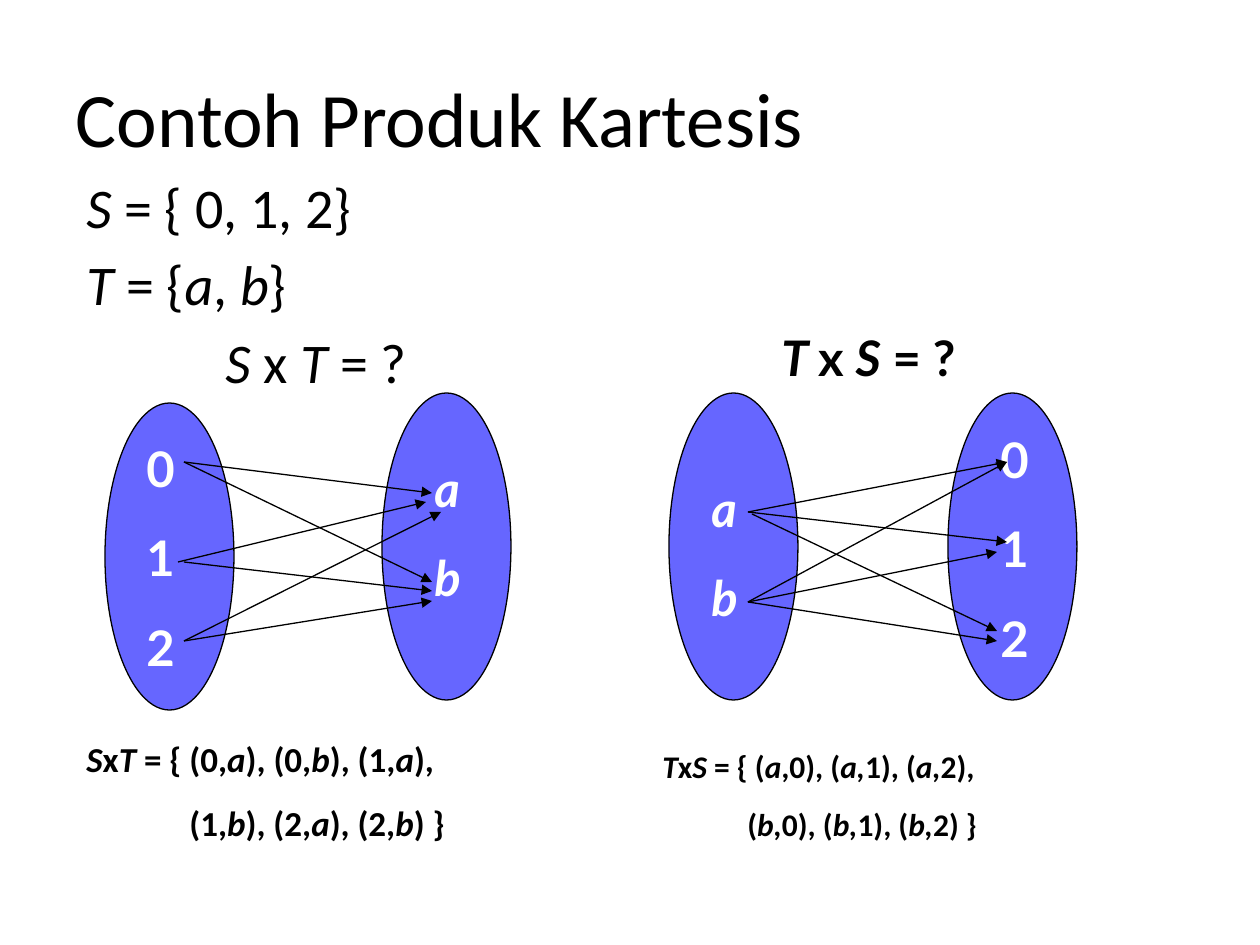
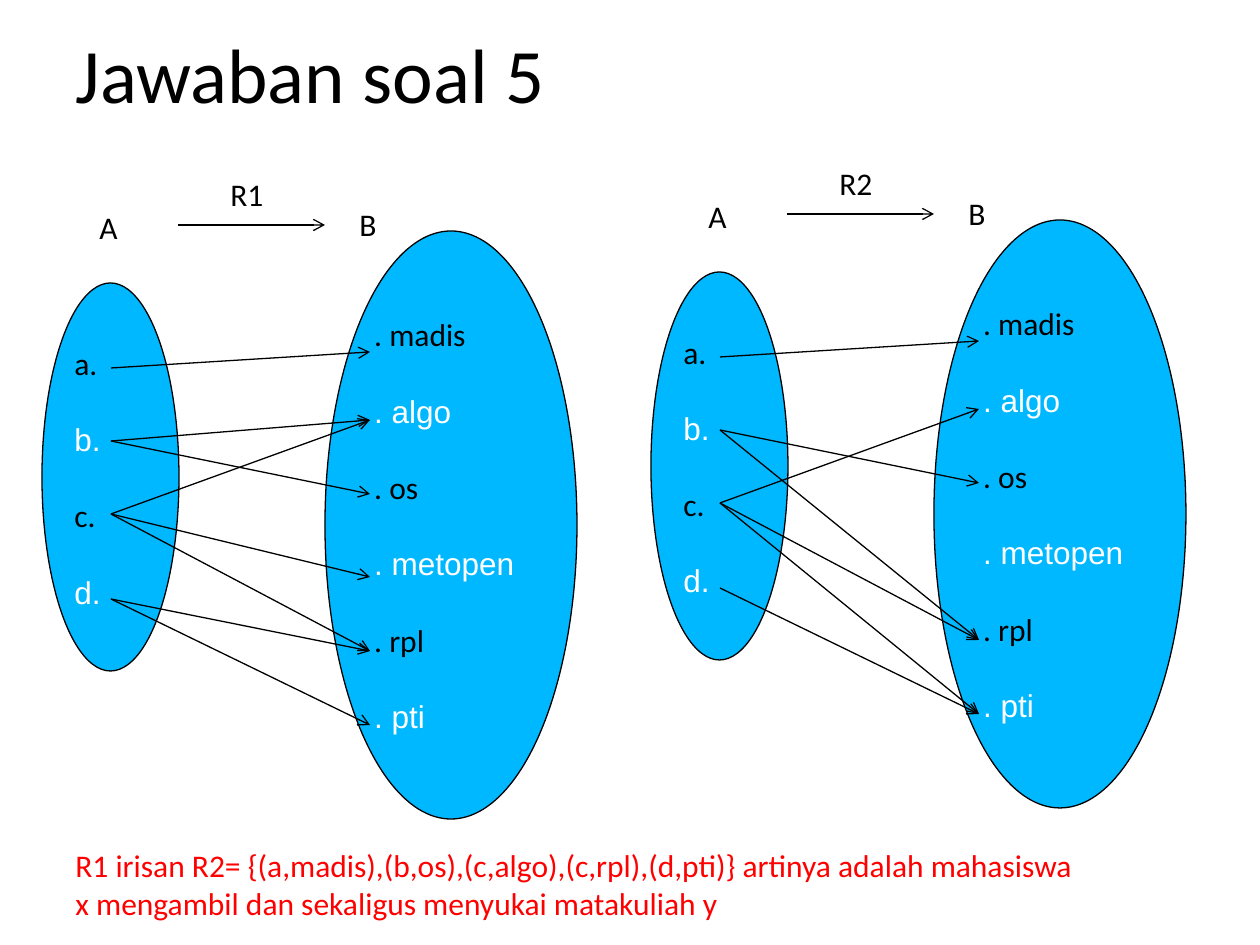
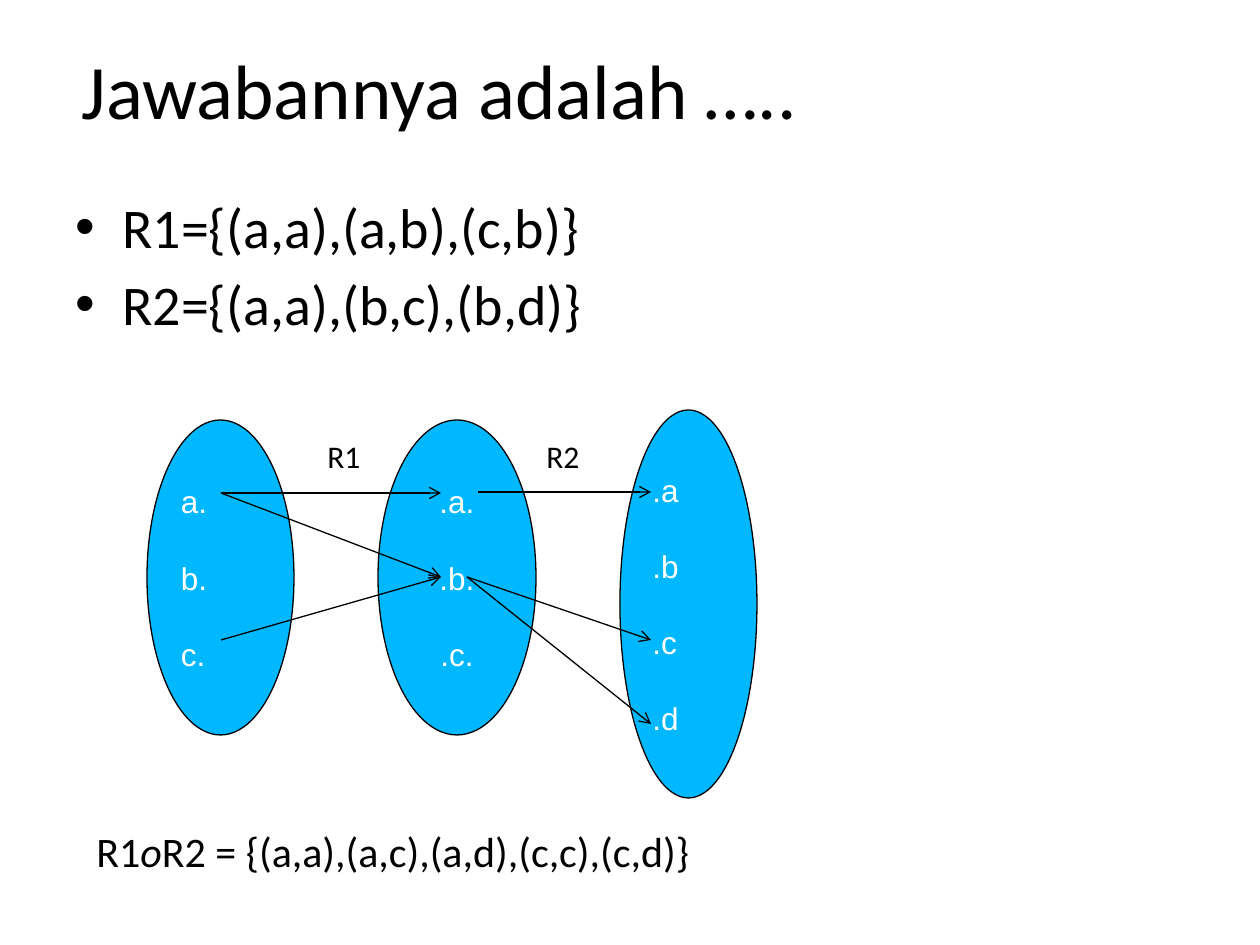
from itertools import cycle

from lxml import etree
from pptx import Presentation
from pptx.dml.color import RGBColor
from pptx.enum.shapes import MSO_CONNECTOR, MSO_SHAPE
from pptx.enum.text import MSO_ANCHOR, PP_ALIGN
from pptx.oxml.ns import qn
from pptx.util import Emu, Pt

BLACK = RGBColor(0x00, 0x00, 0x00)
WHITE = RGBColor(0xFF, 0xFF, 0xFF)
RED = RGBColor(0xFF, 0x00, 0x00)
VIOLET = RGBColor(0x66, 0x66, 0xFF)
SKY = RGBColor(0x00, 0xB8, 0xFF)

OVAL, RECT = MSO_SHAPE.OVAL, MSO_SHAPE.RECTANGLE
STRAIGHT = MSO_CONNECTOR.STRAIGHT
LEFT, CENTER = PP_ALIGN.LEFT, PP_ALIGN.CENTER
TOP, MIDDLE = MSO_ANCHOR.TOP, MSO_ANCHOR.MIDDLE

BODY = ("Calibri", BLACK)
BOLD = ("Lato", BLACK)
LABEL = ("Lato", WHITE)
ITEM = ("Arial", WHITE)
THIN = Pt(0.75)
TITLE_ONLY = 5


def px(n):
    return Emu(round(n * 914400 / 126))


def write(shape, lines, looks=(BODY,), size=18, bold=False, align=LEFT,
          anchor=TOP, before=0, pads=(0,), bullet=None, wrap=True):
    """Fill a shape with paragraphs; asterisks switch italics on and off."""
    frame = shape.text_frame
    frame.word_wrap = wrap
    frame.vertical_anchor = anchor
    for n, (line, look, pad) in enumerate(zip(lines, cycle(looks), cycle(pads))):
        para = frame.add_paragraph() if n else frame.paragraphs[0]
        para.alignment = align
        para.space_before = Pt(before)
        props = para._p.get_or_add_pPr()
        props.set("marL", str(px(pad)))
        if bullet:
            props.set("indent", str(px(-pad)))
            etree.SubElement(props, qn("a:buFont")).set("typeface", "Arial")
            etree.SubElement(props, qn("a:buChar")).set("char", bullet)
        for k, part in enumerate(line.split("*")):
            if part:
                run = para.add_run()
                run.text = part
                font = run.font
                font.name, font.color.rgb = look
                font.size = Pt(size)
                font.bold = bold
                font.italic = k % 2 == 1


def note(slide, box, lines, **style):
    write(slide.shapes.add_textbox(*map(px, box)), lines, **style)


def solid(slide, kind, box, fill, lined=True):
    shape = slide.shapes.add_shape(kind, *map(px, box))
    shape.shadow.inherit = False
    shape.fill.solid()
    shape.fill.fore_color.rgb = fill
    if lined:
        shape.line.color.rgb = BLACK
        shape.line.width = THIN
    else:
        shape.line.fill.background()
    return shape


def arrow(slide, x, y, ends, head="arrow"):
    """Draw an arrow whose ends are relative to (x, y)."""
    x1, y1, x2, y2 = ends
    link = slide.shapes.add_connector(
        STRAIGHT, px(x + x1), px(y + y1), px(x + x2), px(y + y2))
    link.line.color.rgb = BLACK
    link.line.width = THIN
    tip = etree.SubElement(link.line._get_or_add_ln(), qn("a:tailEnd"))
    tip.set("type", head)
    etree.SubElement(link._element.spPr, qn("a:effectLst"))


def start(deck, title, box):
    slide = deck.slides.add_slide(deck.slide_layouts[TITLE_ONLY])
    head = slide.shapes.title
    head.left, head.top, head.width, head.height = map(px, box)
    write(head, [title], size=44, anchor=MIDDLE)
    return slide


def product(slide, x, y, pools, links):
    """Two ovals with labels, joined by arrows."""
    for left, top, dx, dy, items in pools:
        left, top = x + left, y + top
        solid(slide, OVAL, (left, top, 129, 307), VIOLET)
        area = (left + dx, top + dy, 59, 90 * len(items) - 19)
        write(solid(slide, RECT, area, VIOLET, lined=False), items,
              looks=(LABEL,), size=28, bold=True, before=17.5)
    for ends in links:
        arrow(slide, x, y, ends, head="triangle")


def relation(slide, x, y, name, links):
    """Students a to d related to courses."""
    sides = [
        ((0, 114, 137, 388), ["a.", "b.", "c.", "d."]),
        ((283, 62, 252, 588),
         [". madis", ". algo", ". os", ". metopen", ". rpl", ". pti"]),
    ]
    for (left, top, wide, high), items in sides:
        oval = solid(slide, OVAL, (x + left, y + top, wide, high), SKY)
        write(oval, items, looks=(BODY, ITEM), anchor=MIDDLE, before=22)
    for tag, left, top, wide in [(name, 176, 0, 65), ("A", 45, 33, 47),
                                 ("B", 305, 30, 47)]:
        note(slide, (x + left, y + top, wide, 50), [tag], wrap=False)
    arrow(slide, x, y, (136, 56, 283, 56))
    rows = dict(zip("abcd", (199, 272, 345, 430)))
    goals = dict(zip(("madis", "algo", "os", "metopen", "rpl", "pti"),
                     (183, 251, 325, 408, 482, 556)))
    for row, names in links.items():
        for goal in names.split():
            arrow(slide, x, y, (69, rows[row], 328, goals[goal]))


def chain(slide, x, y):
    """Three sets joined by R1 and then R2."""
    sets = [
        ((0, 10, 147, 315), ["a.", "b.", "c."], LEFT),
        ((231, 10, 158, 315), [".a.", ".b.", ".c."], CENTER),
        ((473, 0, 137, 388), [".a", ".b", ".c", ".d"], LEFT),
    ]
    for (left, top, wide, high), items, align in sets:
        oval = solid(slide, OVAL, (x + left, y + top, wide, high), SKY)
        write(oval, items, looks=(ITEM,), anchor=MIDDLE, before=22, align=align)
    for ends in [(74, 83, 294, 83), (74, 83, 294, 167), (74, 230, 294, 167),
                 (331, 82, 504, 82), (320, 167, 504, 230), (320, 167, 504, 314)]:
        arrow(slide, x, y, ends)
    for tag, left in [("R1", 168), ("R2", 387)]:
        note(slide, (x + left, y + 21, 65, 50), [tag], wrap=False)


def product_slide(deck):
    slide = start(deck, "Contoh Produk Kartesis", (63, 38, 1134, 158))
    note(slide, (74, 166, 607, 624),
         ["*S* = { 0, 1, 2}", "*T* = {*a*, *b*}", "*S *x *T* = ?"],
         size=32, before=6, pads=(0, 0, 139))
    digits, letters = ["0", "1", "2"], ["*a*", "*b*"]
    # S x T
    product(slide, 105, 393,
            [(0, 10, 29, 29, digits), (277, 0, 40, 59, letters)],
            [(79, 69, 327, 189), (79, 69, 327, 100), (73, 169, 321, 109),
             (79, 169, 327, 198), (79, 248, 336, 119), (79, 248, 327, 208)])
    note(slide, (74, 731, 486, 118),
         ["*S*x*T* = { (0,*a*), (0,*b*), (1,*a*),",
          "(1,*b*), (2,*a*), (2,*b*) }"],
         size=20, bold=True, before=12.5, pads=(0, 103))
    # T x S
    note(slide, (769, 321, 297, 72), ["*T *x *S* = ?"],
         looks=(BOLD,), size=28, bold=True)
    product(slide, 669, 393,
            [(0, 0, 30, 79, letters), (279, 0, 40, 30, digits)],
            [(79, 119, 338, 69), (79, 119, 338, 149), (83, 121, 328, 238),
             (79, 209, 338, 69), (79, 209, 328, 159), (79, 209, 328, 248)])
    note(slide, (650, 741, 486, 108),
         ["*T*x*S* = { (*a*,0), (*a,*1), (*a,*2),",
          "(*b,*0), (*b,*1), (*b,*2) }"],
         size=18, bold=True, before=11.2, pads=(0, 85))


def relation_slide(deck):
    slide = start(deck, "Jawaban soal 5", (63, -2, 1134, 150))
    relation(slide, 42, 169, "R1", {
        "a": "madis", "b": "algo os", "c": "algo metopen rpl", "d": "rpl pti"})
    relation(slide, 651, 158, "R2", {
        "a": "madis", "b": "rpl os", "c": "algo pti rpl", "d": "pti"})
    note(slide, (63, 840, 1042, 89),
         ["R1 irisan R2= {(a,madis),(b,os),(c,algo),(c,rpl),(d,pti)} "
          "artinya adalah mahasiswa",
          "x mengambil dan sekaligus menyukai matakuliah y"],
         looks=(("Calibri", RED),), wrap=False)


def chain_slide(deck):
    slide = start(deck, "Jawabannya adalah …..", (69, 10, 1134, 158))
    note(slide, (63, 186, 1134, 200),
         ["R1={(a,a),(a,b),(c,b)}", "R2={(a,a),(b,c),(b,d)}"],
         size=32, before=6, pads=(47,), bullet="•")
    chain(slide, 147, 410)
    note(slide, (84, 819, 708, 63),
         ["R1*о*R2 = {(a,a),(a,c),(a,d),(c,c),(c,d)}"], size=24, wrap=False)


def main():
    deck = Presentation()
    deck.slide_width, deck.slide_height = px(1260), px(945)
    product_slide(deck)
    relation_slide(deck)
    chain_slide(deck)
    deck.save("out.pptx")


if __name__ == "__main__":
    main()
